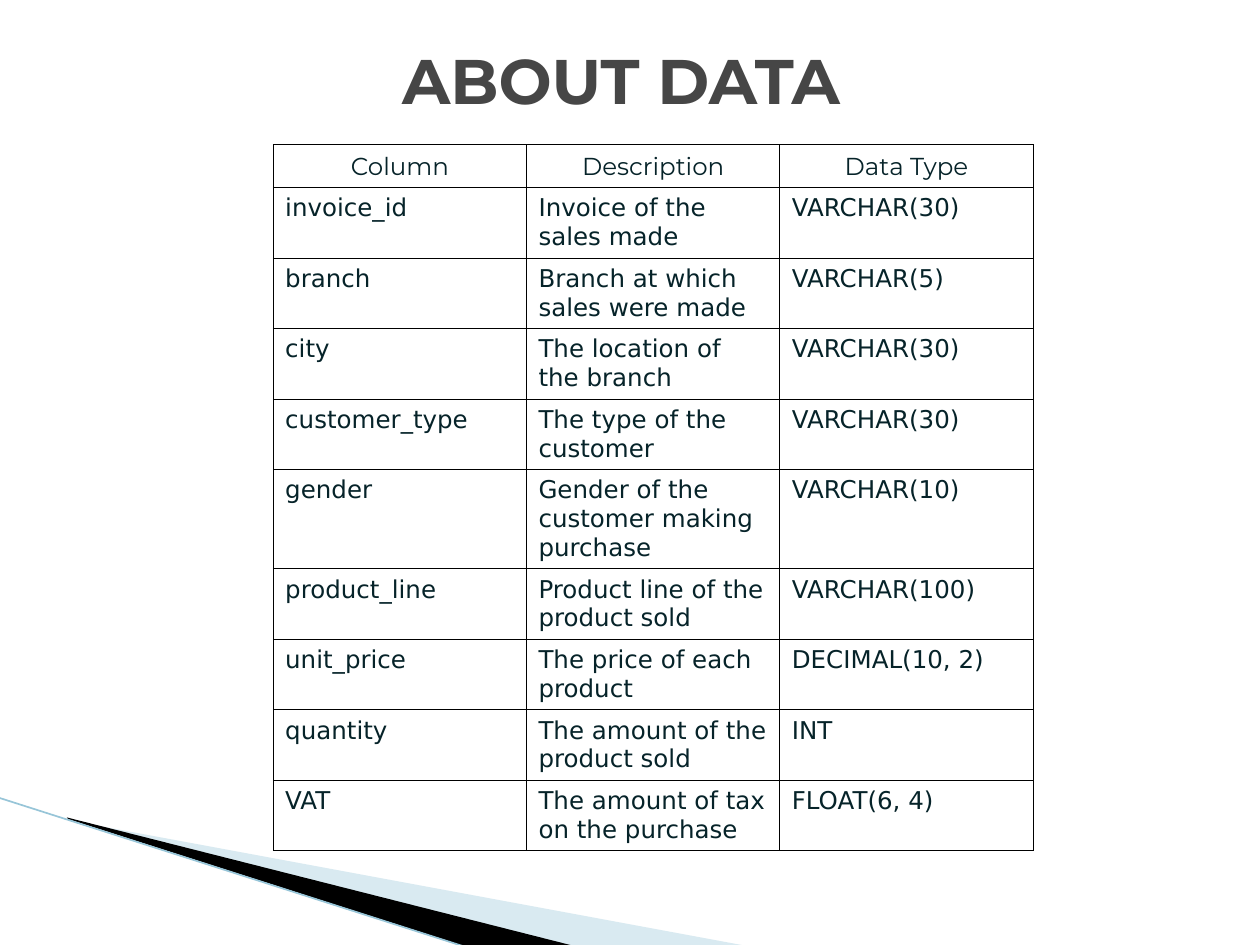
"""Build the slide that describes the columns of the sales data."""
from dataclasses import dataclass

from lxml.etree import SubElement
from pptx import Presentation
from pptx.dml.color import RGBColor
from pptx.enum.shapes import MSO_CONNECTOR
from pptx.enum.text import MSO_ANCHOR, PP_ALIGN
from pptx.oxml.ns import qn
from pptx.util import Cm, Pt


@dataclass(frozen=True)
class Theme:
    head: str = "Montserrat"
    body: str = "DejaVu Sans"
    big: float = 36
    small: float = 14
    title: str = "464646"
    ink: str = "062329"
    paper: str = "FFFFFF"
    rule: str = "000000"
    pale: str = "A0CBDC"
    edge: str = "97C5D8"


class Deck:
    def __init__(self, theme, slide):
        self.theme = theme
        self.slide = slide

    def add_text(self, para, text, font, size, color, bold=False):
        run = para.add_run()
        run.text = text
        run.font.name = font
        run.font.size = Pt(size)
        run.font.bold = bold
        run.font.color.rgb = RGBColor.from_string(color)

    def title(self, text, left, top, width, height):
        box = self.slide.shapes.add_textbox(Cm(left), Cm(top), Cm(width), Cm(height))
        frame = box.text_frame
        frame.word_wrap = True
        frame.vertical_anchor = MSO_ANCHOR.MIDDLE
        para = frame.paragraphs[0]
        para.alignment = PP_ALIGN.CENTER
        look = self.theme
        self.add_text(para, text, look.head, look.big, look.title, True)

    def wedge(self, points, color, alpha=100):
        first, *rest = [(Cm(x), Cm(y)) for x, y in points]
        pen = self.slide.shapes.build_freeform(*first)
        pen.add_line_segments(rest, close=True)
        shape = pen.convert_to_shape()
        shape.shadow.inherit = False
        shape.line.fill.background()
        shape.fill.solid()
        shape.fill.fore_color.rgb = RGBColor.from_string(color)
        if alpha < 100:
            tone = shape._element.spPr.find(qn("a:solidFill")).find(qn("a:srgbClr"))
            SubElement(tone, qn("a:alpha"), val=str(alpha * 1000))

    def line(self, start, end, color, width):
        ends = [Cm(value) for value in (*start, *end)]
        link = self.slide.shapes.add_connector(MSO_CONNECTOR.STRAIGHT, *ends)
        link.line.color.rgb = RGBColor.from_string(color)
        link.line.width = Pt(width)
        SubElement(link._element.spPr, qn("a:effectLst"))

    def border(self, cell, width):
        props = cell._tc.get_or_add_tcPr()
        for index, side in enumerate(("lnL", "lnR", "lnT", "lnB")):
            line = props.makeelement(qn(f"a:{side}"), {"w": str(Pt(width))})
            fill = SubElement(line, qn("a:solidFill"))
            SubElement(fill, qn("a:srgbClr"), val=self.theme.rule)
            props.insert(index, line)

    def cell(self, cell, text, head):
        look = self.theme
        cell.fill.solid()
        cell.fill.fore_color.rgb = RGBColor.from_string(look.paper)
        cell.margin_left = cell.margin_right = Cm(0.24)
        cell.margin_top = cell.margin_bottom = Cm(0.13)
        para = cell.text_frame.paragraphs[0]
        para.space_after = Pt(12)
        para.alignment = PP_ALIGN.CENTER if head else PP_ALIGN.LEFT
        self.add_text(para, text, look.head if head else look.body, look.small, look.ink)
        self.border(cell, 0.75)

    def table(self, rows, left, top, width, heights):
        count = len(rows[0])
        frame = self.slide.shapes.add_table(
            len(rows), count, Cm(left), Cm(top), Cm(width), Cm(sum(heights)))
        grid = frame.table
        for col in grid.columns:
            col.width = Cm(width / count)
        for i, (row, height) in enumerate(zip(rows, heights)):
            grid.rows[i].height = Cm(height)
            for j, text in enumerate(row):
                self.cell(grid.cell(i, j), text, i == 0)


ROWS = [
    ("Column", "Description", "Data Type"),
    ("invoice_id", "Invoice of the sales made", "VARCHAR(30)"),
    ("branch", "Branch at which sales were made", "VARCHAR(5)"),
    ("city", "The location of the branch", "VARCHAR(30)"),
    ("customer_type", "The type of the customer", "VARCHAR(30)"),
    ("gender", "Gender of the customer making purchase", "VARCHAR(10)"),
    ("product_line", "Product line of the product sold", "VARCHAR(100)"),
    ("unit_price", "The price of each product", "DECIMAL(10, 2)"),
    ("quantity", "The amount of the product sold", "INT"),
    ("VAT", "The amount of tax on the purchase", "FLOAT(6, 4)"),
]


def main():
    show = Presentation()
    show.slide_width, show.slide_height = Cm(25.4), Cm(19.05)
    look = Theme()
    deck = Deck(look, show.slides.add_slide(show.slide_layouts[6]))
    deck.wedge([(1.4, 16.54), (15.11, 19.08), (11.58, 19.08), (1.4, 16.51)], look.pale, 40)
    deck.wedge([(1.35, 16.48), (11.61, 19.08), (9.45, 19.1), (1.37, 16.51)], look.rule)
    deck.line((-0.03, 16.08), (9.42, 19.1), look.edge, 0.95)
    heights = [0.83] + [1.4] * 4 + [1.98] + [1.4] * 4
    deck.table(ROWS, 5.51, 2.92, 15.32, heights)
    deck.title("ABOUT DATA", 1.09, 0, 22.86, 3.18)
    show.save("out.pptx")


if __name__ == "__main__":
    main()
